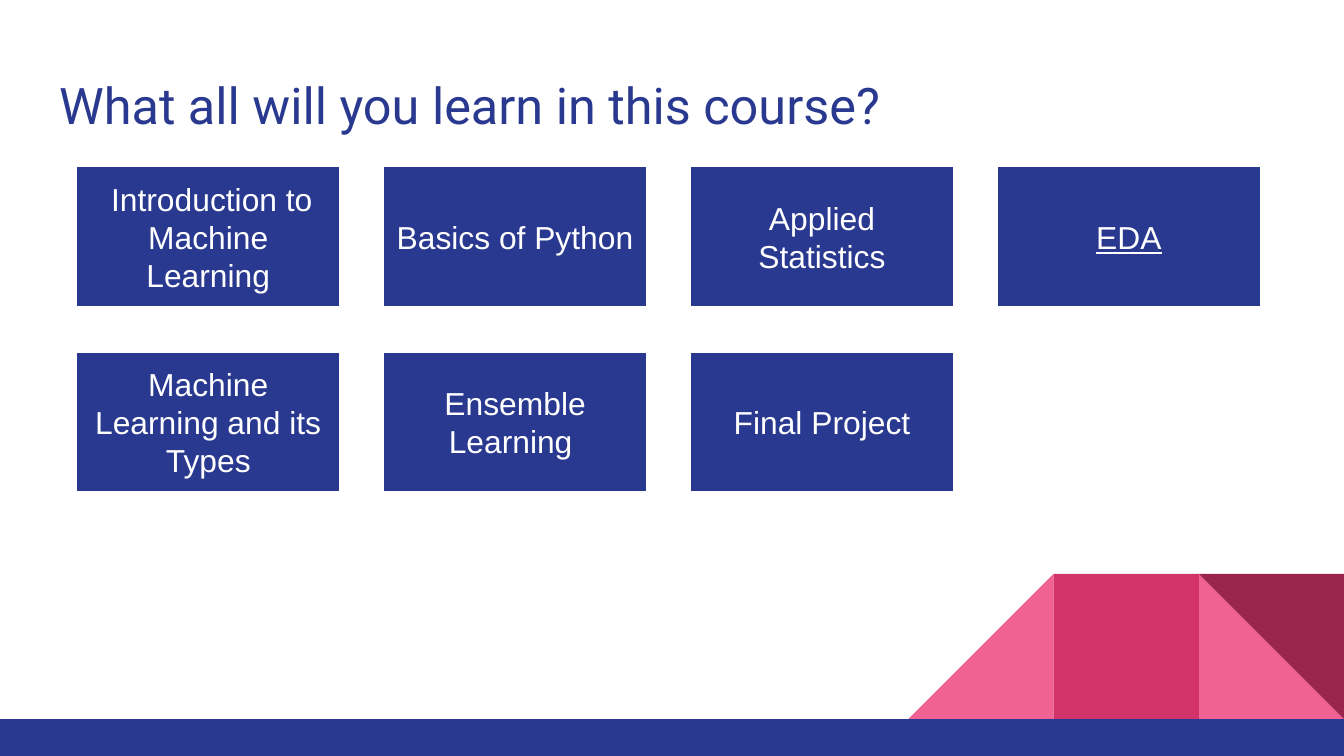
from pptx import Presentation
from pptx.dml.color import RGBColor
from pptx.enum.shapes import MSO_SHAPE
from pptx.enum.text import MSO_ANCHOR, PP_ALIGN
from pptx.util import Inches, Pt

COLORS = {
    "navy": "2A3990",
    "white": "FFFFFF",
    "pink": "F06292",
    "rose": "D23369",
    "wine": "9C254D",
}
WIDTH = 10
HEIGHT = WIDTH * 9 / 16
TILE = 1.08
FOOTER_TOP = 5.35
GRID_LEFT, GRID_RIGHT, GRID_TOP = 0.57, 9.38, 1.24
BOX_WIDTH, BOX_HEIGHT = 1.96, 1.04
COLUMN_STEP = (GRID_RIGHT - GRID_LEFT - BOX_WIDTH) / 3
ROW_STEP = 1.38
TOPICS = [
    ["Introduction to Machine Learning", "Basics of Python", "Applied Statistics", "EDA"],
    ["Machine Learning and its Types", "Ensemble Learning ", "Final Project"],
]


def color(name):
    """Look up a palette colour."""
    return RGBColor.from_string(COLORS[name])


def style(span, font, size, fill):
    """Set the font of a run."""
    span.font.name = font
    span.font.size = Pt(size)
    span.font.color.rgb = color(fill)


def set_margins(frame):
    """Give a text frame equal insets and wrapping."""
    frame.word_wrap = True
    frame.margin_left = frame.margin_right = Inches(0.1)
    frame.margin_top = frame.margin_bottom = Inches(0.1)


def add_block(page, kind, left, top, width, height, fill):
    """Add a flat shape without an outline."""
    block = page.shapes.add_shape(
        kind, Inches(left), Inches(top), Inches(width), Inches(height))
    block.shadow.inherit = False
    block.fill.solid()
    block.fill.fore_color.rgb = color(fill)
    block.line.fill.background()
    return block


def add_decoration(page):
    """Add the corner of folded tiles and the footer band."""
    triangle = MSO_SHAPE.RIGHT_TRIANGLE
    tiles = [
        (1, triangle, "pink", False, 0),
        (3, triangle, "pink", True, 0),
        (2, MSO_SHAPE.RECTANGLE, "rose", False, 0),
        (1, triangle, "wine", False, 180),
    ]
    for place, kind, fill, flipped, rotation in tiles:
        tile = add_block(page, kind, WIDTH - place * TILE, FOOTER_TOP - TILE,
                         TILE, TILE, fill)
        tile.rotation = rotation
        if flipped:
            tile.element.spPr.xfrm.set("flipH", "1")
    add_block(page, MSO_SHAPE.RECTANGLE, 0, FOOTER_TOP, WIDTH,
              HEIGHT - FOOTER_TOP, "navy")


def add_title(page, text):
    """Place and format the title placeholder."""
    title = page.shapes.title
    title.left, title.top = Inches(0.34), Inches(0.45)
    title.width, title.height = Inches(9.32), Inches(0.66)
    frame = title.text_frame
    frame.text = text
    set_margins(frame)
    frame.vertical_anchor = MSO_ANCHOR.TOP
    paragraph = frame.paragraphs[0]
    paragraph.alignment = PP_ALIGN.LEFT
    style(paragraph.runs[0], "Roboto", 27, "navy")


def add_topic(page, column, row, text):
    """Add a topic box at a grid cell."""
    box = add_block(page, MSO_SHAPE.RECTANGLE, GRID_LEFT + column * COLUMN_STEP,
                    GRID_TOP + row * ROW_STEP, BOX_WIDTH, BOX_HEIGHT, "navy")
    box.line.color.rgb = color("white")
    box.line.width = Pt(0.75)
    frame = box.text_frame
    set_margins(frame)
    frame.vertical_anchor = MSO_ANCHOR.MIDDLE
    paragraph = frame.paragraphs[0]
    paragraph.alignment = PP_ALIGN.CENTER
    if (column, row) == (0, 0):
        lead = paragraph.add_run()
        lead.text = " "
        style(lead, "Arial", 14, "white")
    span = paragraph.add_run()
    span.text = text
    style(span, "Arial", 17, "white")
    if text == "EDA":
        span.font.underline = True


def main():
    """Build the course overview slide."""
    deck = Presentation()
    deck.slide_width, deck.slide_height = Inches(WIDTH), Inches(HEIGHT)
    page = deck.slides.add_slide(deck.slide_layouts[5])
    add_decoration(page)
    add_title(page, "What all will you learn in this course?")
    for row, topics in enumerate(TOPICS):
        for column, topic in enumerate(topics):
            add_topic(page, column, row, topic)
    deck.save("out.pptx")


if __name__ == "__main__":
    main()
